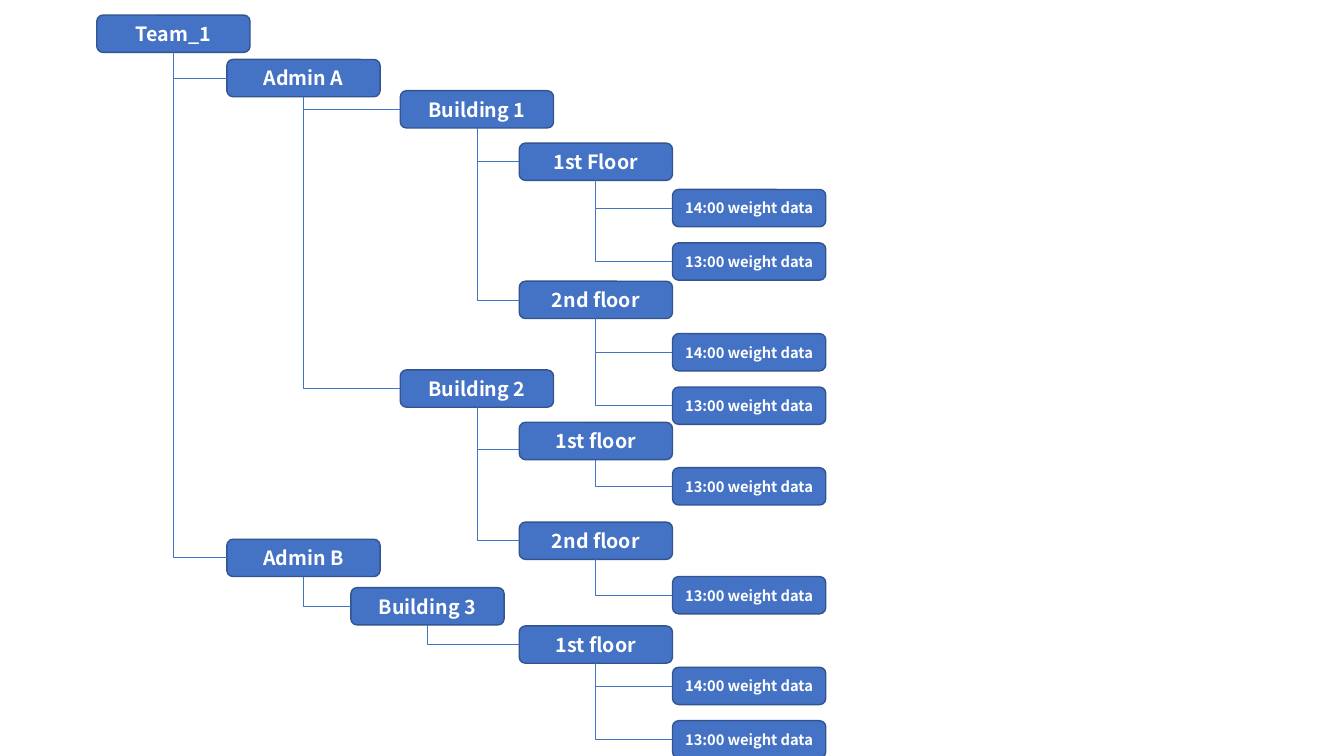
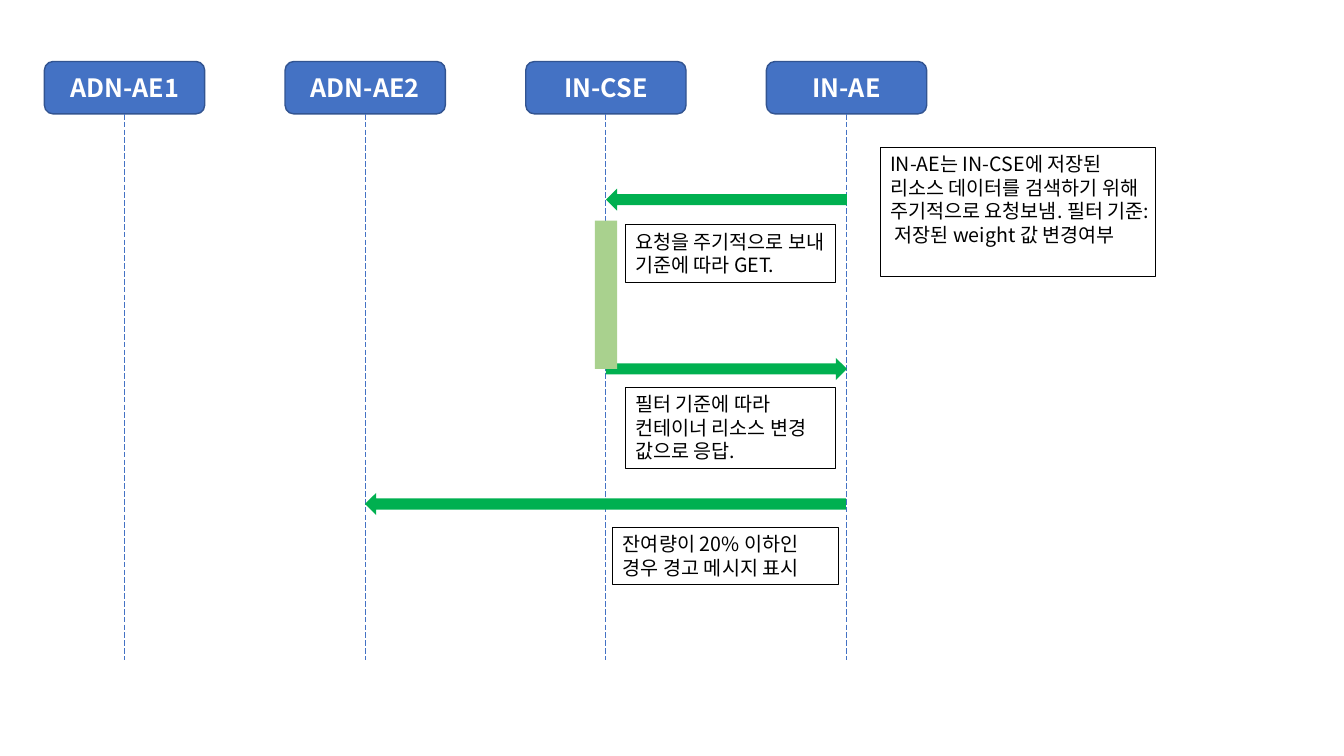
import pptx
import pptx.util
import pptx.dml.color
import pptx.enum.dml
import pptx.enum.shapes
import pptx.enum.text
import pptx.oxml.ns
import lxml.etree

Inches = pptx.util.Inches
Pt = pptx.util.Pt
RGBColor = pptx.dml.color.RGBColor
MSO_SHAPE = pptx.enum.shapes.MSO_SHAPE
MSO_CONNECTOR = pptx.enum.shapes.MSO_CONNECTOR
PP_ALIGN = pptx.enum.text.PP_ALIGN
MSO_ANCHOR = pptx.enum.text.MSO_ANCHOR
qn = pptx.oxml.ns.qn

FONT = "Noto Sans CJK KR"
BLUE = RGBColor(0x44, 0x72, 0xC4)
DARK_BLUE = RGBColor(0x32, 0x54, 0x91)
GREEN = RGBColor(0x00, 0xB0, 0x50)
LIGHT_GREEN = RGBColor(0xA9, 0xD1, 0x8E)
WHITE = RGBColor(0xFF, 0xFF, 0xFF)
BLACK = RGBColor(0x00, 0x00, 0x00)


def add_box(slide, text, left, top, width, height, size=14, node=True):
    kind = MSO_SHAPE.ROUNDED_RECTANGLE if node else MSO_SHAPE.RECTANGLE
    shape = slide.shapes.add_shape(
        kind, Inches(left), Inches(top), Inches(width), Inches(height))
    shape.shadow.inherit = False
    if node:
        shape.fill.solid()
        shape.fill.fore_color.rgb = BLUE
    else:
        shape.fill.background()
    shape.line.color.rgb = DARK_BLUE if node else BLACK
    shape.line.width = Pt(1 if node else 0.75)
    frame = shape.text_frame
    frame.word_wrap = True
    frame.vertical_anchor = MSO_ANCHOR.MIDDLE if node else MSO_ANCHOR.TOP
    paragraph = frame.paragraphs[0]
    paragraph.alignment = PP_ALIGN.CENTER if node else PP_ALIGN.LEFT
    run = paragraph.add_run()
    run.text = text
    run.font.name = FONT
    run.font.size = Pt(size)
    run.font.bold = node
    run.font.color.rgb = WHITE if node else BLACK
    east_asian = lxml.etree.SubElement(run.font._element, qn("a:ea"))
    east_asian.set("typeface", FONT)
    return shape


def add_line(slide, kind, begin_x, begin_y, end_x, end_y):
    connector = slide.shapes.add_connector(kind, begin_x, begin_y, end_x, end_y)
    connector.line.color.rgb = BLUE
    connector.line.width = Pt(0.5)
    lxml.etree.SubElement(connector._element.spPr, qn("a:effectLst"))
    return connector


presentation = pptx.Presentation()
presentation.slide_width = Inches(13.33)
presentation.slide_height = Inches(7.5)
blank_layout = presentation.slide_layouts[6]

tree_slide = presentation.slides.add_slide(blank_layout)
NODE_WIDTH, NODE_HEIGHT = 1.52, 0.37
FLOOR_LEFT, DATA_LEFT = 5.15, 6.67
tree_nodes = [
    (0, "Team_1", 0.96, 0.15, 0),
    (1, "Admin A", 2.25, 0.59, 0),
    (2, "Building 1", 3.97, 0.9, 0),
    (3, "1st Floor", FLOOR_LEFT, 1.42, 0),
    (4, "14:00 weight data", DATA_LEFT, 1.88, 0),
    (4, "13:00 weight data", DATA_LEFT, 2.41, 0),
    (3, "2nd floor", FLOOR_LEFT, 2.79, 0),
    (4, "14:00 weight data", DATA_LEFT, 3.31, 0),
    (4, "13:00 weight data", DATA_LEFT, 3.84, 0),
    (2, "Building 2", 3.97, 3.67, 0),
    (3, "1st floor", FLOOR_LEFT, 4.19, 0.08),
    (4, "13:00 weight data", DATA_LEFT, 4.64, 0),
    (3, "2nd floor", FLOOR_LEFT, 5.18, 0),
    (4, "13:00 weight data", DATA_LEFT, 5.72, 0),
    (1, "Admin B", 2.25, 5.35, 0),
    (2, "Building 3", 3.48, 5.83, 0),
    (3, "1st floor", FLOOR_LEFT, 6.21, 0),
    (4, "14:00 weight data", DATA_LEFT, 6.62, 0),
    (4, "13:00 weight data", DATA_LEFT, 7.15, 0),
]
latest_node = {}
for level, label, left, top, joint_drop in tree_nodes:
    node = add_box(tree_slide, label, left, top, NODE_WIDTH, NODE_HEIGHT,
                   size=10.5 if level == 4 else 14)
    latest_node[level] = node
    if level == 0:
        continue
    parent = latest_node[level - 1]
    branch = add_line(
        tree_slide, MSO_CONNECTOR.ELBOW,
        node.left, node.top + node.height // 2 + Inches(joint_drop),
        parent.left + parent.width // 2, parent.top + parent.height)
    branch._element.spPr.find(qn("a:prstGeom")).set("prst", "bentConnector2")
    if not joint_drop:
        branch.begin_connect(node, 1)
    branch.end_connect(parent, 2)

sequence_slide = presentation.slides.add_slide(blank_layout)
LANE_LEFT, LANE_PITCH, LIFELINE_BOTTOM = 0.44, 2.387, 6.55
for lane, label in enumerate(["ADN-AE1", "ADN-AE2", "IN-CSE", "IN-AE"]):
    header = add_box(sequence_slide, label, LANE_LEFT + lane * LANE_PITCH,
                     0.61, 1.59, 0.52, size=18)
    center = header.left + header.width // 2
    lifeline = add_line(sequence_slide, MSO_CONNECTOR.STRAIGHT, center,
                        header.top + header.height, center, Inches(LIFELINE_BOTTOM))
    lifeline.line.dash_style = pptx.enum.dml.MSO_LINE.LONG_DASH
    lifeline.begin_connect(header, 2)

signals = [
    (MSO_SHAPE.RIGHT_ARROW, 6.01, 1.87, 2.39, 0.22, 180, GREEN),
    (MSO_SHAPE.RIGHT_ARROW, 6.01, 3.55, 2.39, 0.22, 0, GREEN),
    (MSO_SHAPE.RECTANGLE, 5.9, 2.19, 0.22, 1.47, 0, LIGHT_GREEN),
    (MSO_SHAPE.RIGHT_ARROW, 3.62, 4.89, 4.77, 0.22, 180, GREEN),
]
for kind, left, top, width, height, rotation, color in signals:
    signal = sequence_slide.shapes.add_shape(
        kind, Inches(left), Inches(top), Inches(width), Inches(height))
    signal.shadow.inherit = False
    signal.rotation = rotation
    signal.fill.solid()
    signal.fill.fore_color.rgb = color
    signal.line.fill.background()

notes = [
    ("요청을 주기적으로 보내 기준에 따라 GET.", 6.2, 2.23, 2.09, 0.57),
    ("IN-AE는 IN-CSE에 저장된 리소스 데이터를 검색하기 위해 주기적으로 요청보냄. "
     "필터 기준: 저장된 weight 값 변경여부", 8.73, 1.46, 2.73, 1.28),
    ("필터 기준에 따라 컨테이너 리소스 변경 값으로 응답.", 6.2, 3.84, 2.09, 0.81),
    ("잔여량이 20% 이하인 경우 경고 메시지 표시", 6.08, 5.23, 2.24, 0.57),
]
for text, left, top, width, height in notes:
    note = add_box(sequence_slide, text, left, top, width, height, node=False)
    note.text_frame.auto_size = pptx.enum.text.MSO_AUTO_SIZE.SHAPE_TO_FIT_TEXT

presentation.save("out.pptx")
